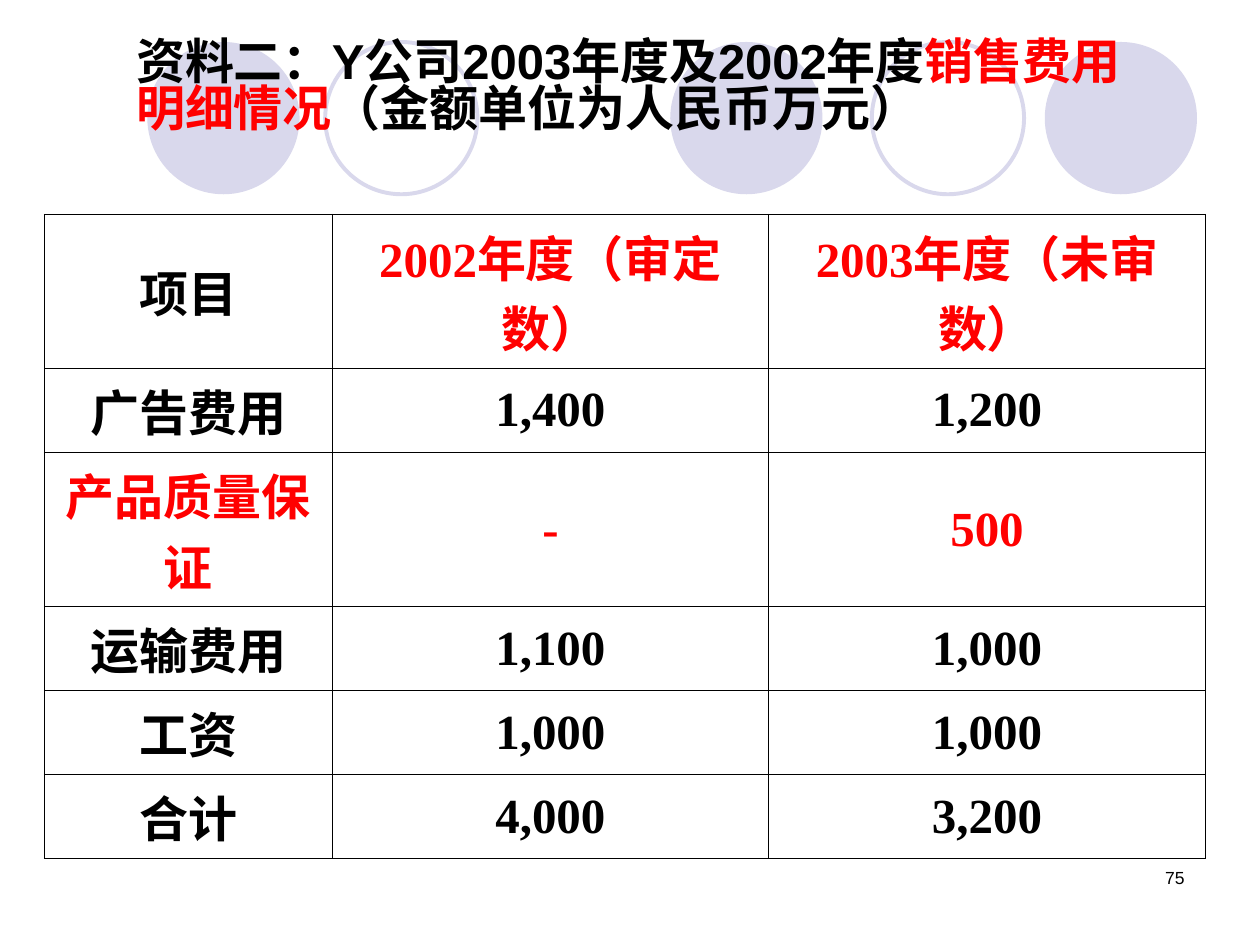
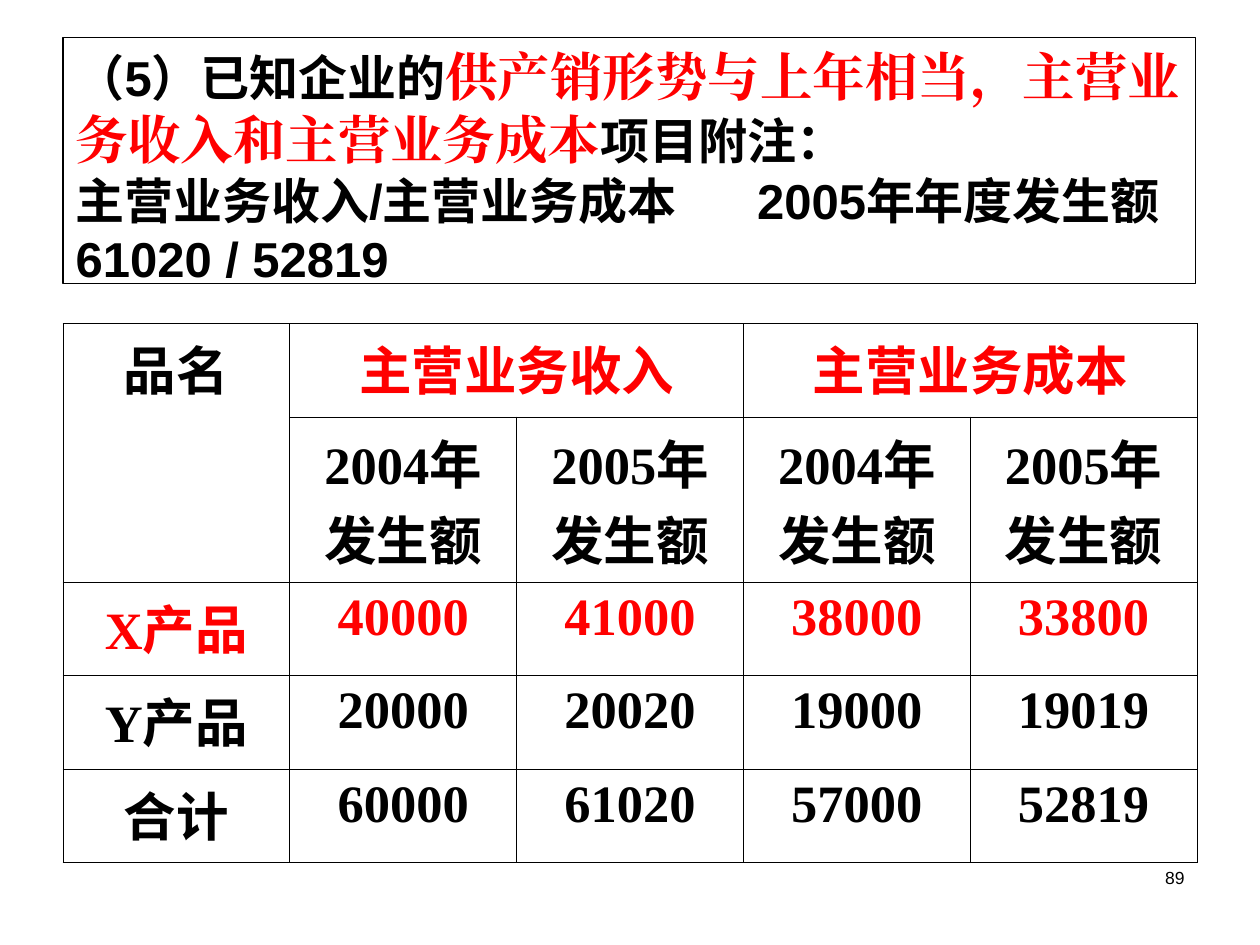
"""Build two audit case slides with expense and revenue tables."""
from itertools import groupby

from lxml import etree
from pptx import Presentation
from pptx.dml.color import RGBColor
from pptx.enum.shapes import MSO_SHAPE
from pptx.enum.text import MSO_ANCHOR, MSO_AUTO_SIZE, PP_ALIGN
from pptx.oxml.ns import qn
from pptx.util import Pt

OVAL = MSO_SHAPE.OVAL
TOP, MIDDLE = MSO_ANCHOR.TOP, MSO_ANCHOR.MIDDLE
LEFT, CENTER, RIGHT = PP_ALIGN.LEFT, PP_ALIGN.CENTER, PP_ALIGN.RIGHT
NO_AUTOFIT = MSO_AUTO_SIZE.NONE

COLORS = {"text": "000000", "accent": "FF0000", "circle": "D9D8EC", "paper": "FFFFFF"}
SANS, SERIF, CJK = "Arial", "Times New Roman", "Noto Sans CJK SC"
TITLE_ONLY = 5
CIRCLE_SIZE = 87
FILLED_CIRCLES = (84.2, 383, 597)
OPEN_CIRCLES = (185.8, 498.2)

EXPENSES = [
    ["项目", "2002年度（审定数）", "2003年度（未审数）"],
    ["广告费用", "1,400", "1,200"],
    ["产品质量保证", "-", "500"],
    ["运输费用", "1,100", "1,000"],
    ["工资", "1,000", "1,000"],
    ["合计", "4,000", "3,200"],
]
EXPENSES_ACCENT = {(0, 1), (0, 2), (2, 0), (2, 1), (2, 2)}

PRODUCTS = [
    ["品名", "主营业务收入", "", "主营业务成本", ""],
    [""] + ["2004年\n发生额", "2005年\n发生额"] * 2,
    ["X产品", "40000", "41000", "38000", "33800"],
    ["Y产品", "20000", "20020", "19000", "19019"],
    ["合计", "60000", "61020", "57000", "52819"],
]
PRODUCTS_ACCENT = {(0, 1), (0, 3)} | {(2, col) for col in range(5)}
PRODUCTS_MERGES = [((0, 0), (1, 0)), ((0, 1), (0, 2)), ((0, 3), (0, 4))]


def rgb(name):
    """Return the named palette colour."""
    return RGBColor.from_string(COLORS[name])


def add_run(paragraph, text, size, color="text", latin=SANS, east_asian=None, bold=True):
    """Append one formatted run to a paragraph."""
    run = paragraph.add_run()
    run.text = text
    font = run.font
    font.size, font.bold, font.name = Pt(size), bold, latin
    font.color.rgb = rgb(color)
    ea = etree.SubElement(font._element, qn("a:ea"))
    ea.set("typeface", east_asian or latin)


def place_title(slide, left, top, width, height):
    """Position the title in front and return it with its paragraph."""
    title = slide.shapes.title
    title.left, title.top, title.width, title.height = map(Pt, (left, top, width, height))
    slide.shapes.element.append(title.element)
    frame = title.text_frame
    frame.word_wrap, frame.auto_size = True, NO_AUTOFIT
    frame.vertical_anchor = TOP
    paragraph = frame.paragraphs[0]
    paragraph.alignment = LEFT
    return title, paragraph


def add_circle(slide, left, filled):
    """Draw one decorative circle, either solid or outlined."""
    circle = slide.shapes.add_shape(
        OVAL, Pt(left), Pt(24), Pt(CIRCLE_SIZE), Pt(CIRCLE_SIZE))
    circle.shadow.inherit = False
    if filled:
        circle.fill.solid()
        circle.fill.fore_color.rgb = rgb("circle")
        circle.line.fill.background()
    else:
        circle.fill.background()
        circle.line.color.rgb = rgb("circle")
        circle.line.width = Pt(2.25)


def add_page_number(slide, number):
    """Write the page number at the lower right."""
    box = slide.shapes.add_textbox(Pt(516.2), Pt(491.8), Pt(167.8), Pt(36))
    box.text_frame.word_wrap = True
    paragraph = box.text_frame.paragraphs[0]
    paragraph.alignment = RIGHT
    add_run(paragraph, str(number), 10, bold=False)


def add_tab_stop(paragraph, position):
    """Add a left tab stop to a paragraph."""
    stops = etree.SubElement(paragraph._p.get_or_add_pPr(), qn("a:tabLst"))
    etree.SubElement(stops, qn("a:tab"), pos=str(Pt(position)), algn="l")


def set_borders(cell):
    """Give a cell thin lines on all four sides."""
    properties = cell._tc.get_or_add_tcPr()
    for index, side in enumerate(("lnL", "lnR", "lnT", "lnB")):
        line = etree.Element(qn(f"a:{side}"), w=str(Pt(0.45)))
        fill = etree.SubElement(line, qn("a:solidFill"))
        etree.SubElement(fill, qn("a:srgbClr"), val=COLORS["text"])
        properties.insert(index, line)


def fill_cell(cell, text, size, color, anchor):
    """Write centred text, with Latin and Chinese runs in their own fonts."""
    cell.vertical_anchor = anchor
    for index, line in enumerate(text.split("\n")):
        frame = cell.text_frame
        paragraph = frame.add_paragraph() if index else frame.paragraphs[0]
        paragraph.alignment = CENTER
        for is_latin, letters in groupby(line, str.isascii):
            add_run(paragraph, "".join(letters), size, color,
                    SERIF if is_latin else CJK, CJK)


def add_grid(slide, left, top, widths, heights, rows, accents, size, anchor, merges=()):
    """Add a ruled table without fills."""
    table = slide.shapes.add_table(
        len(rows), len(widths), Pt(left), Pt(top), Pt(sum(widths)), Pt(sum(heights))).table
    table.first_row = table.horz_banding = False
    for column, width in zip(table.columns, widths):
        column.width = Pt(width)
    for row, height in zip(table.rows, heights):
        row.height = Pt(height)
    for first, last in merges:
        table.cell(*first).merge(table.cell(*last))
    for r, texts in enumerate(rows):
        for c, text in enumerate(texts):
            cell = table.cell(r, c)
            cell.fill.background()
            set_borders(cell)
            if text:
                color = "accent" if (r, c) in accents else "text"
                fill_cell(cell, text, size, color, anchor)


def build_expenses(prs):
    """Build the selling expenses slide."""
    slide = prs.slides.add_slide(prs.slide_layouts[TITLE_ONLY])
    for left in FILLED_CIRCLES:
        add_circle(slide, left, True)
    for left in OPEN_CIRCLES:
        add_circle(slide, left, False)
    add_page_number(slide, 75)
    add_grid(slide, 25.2, 122.4, [164.6, 249.5, 249.5], [88, 48, 88.3, 48, 48, 48],
             EXPENSES, EXPENSES_ACCENT, 28, MIDDLE)
    _, heading = place_title(slide, 70.6, 20.2, 588.2, 61.2)
    heading.line_spacing = 0.8
    add_run(heading, "资料二：Y公司2003年度及2002年度", 28)
    add_run(heading, "销售费用明细情况", 28, "accent")
    add_run(heading, "（金额单位为人民币万元）", 28)


def build_products(prs):
    """Build the revenue and cost by product slide."""
    slide = prs.slides.add_slide(prs.slide_layouts[TITLE_ONLY])
    add_page_number(slide, 89)
    title, heading = place_title(slide, 36, 21.6, 647.3, 140.4)
    title.fill.solid()
    title.fill.fore_color.rgb = rgb("paper")
    title.line.color.rgb = rgb("text")
    title.line.width = Pt(0.75)
    add_tab_stop(heading, 389.5)
    add_run(heading, "（5）已知企业的", 28)
    add_run(heading, "供产销形势与上年相当，主营业务收入和主营业务成本", 30, "accent", SERIF)
    add_run(heading, "项目附注：", 28)
    heading.add_line_break()
    add_run(heading, "主营业务收入/主营业务成本\t2005年年度发生额 61020 / 52819", 28)
    add_grid(slide, 36, 184.8, [129.6] * 5, [53.5, 94.3, 53.5, 53.5, 53.5],
             PRODUCTS, PRODUCTS_ACCENT, 30, TOP, PRODUCTS_MERGES)


def main():
    """Create and save the presentation."""
    prs = Presentation()
    prs.slide_width, prs.slide_height = Pt(720), Pt(540)
    build_expenses(prs)
    build_products(prs)
    prs.save("out.pptx")


if __name__ == "__main__":
    main()
